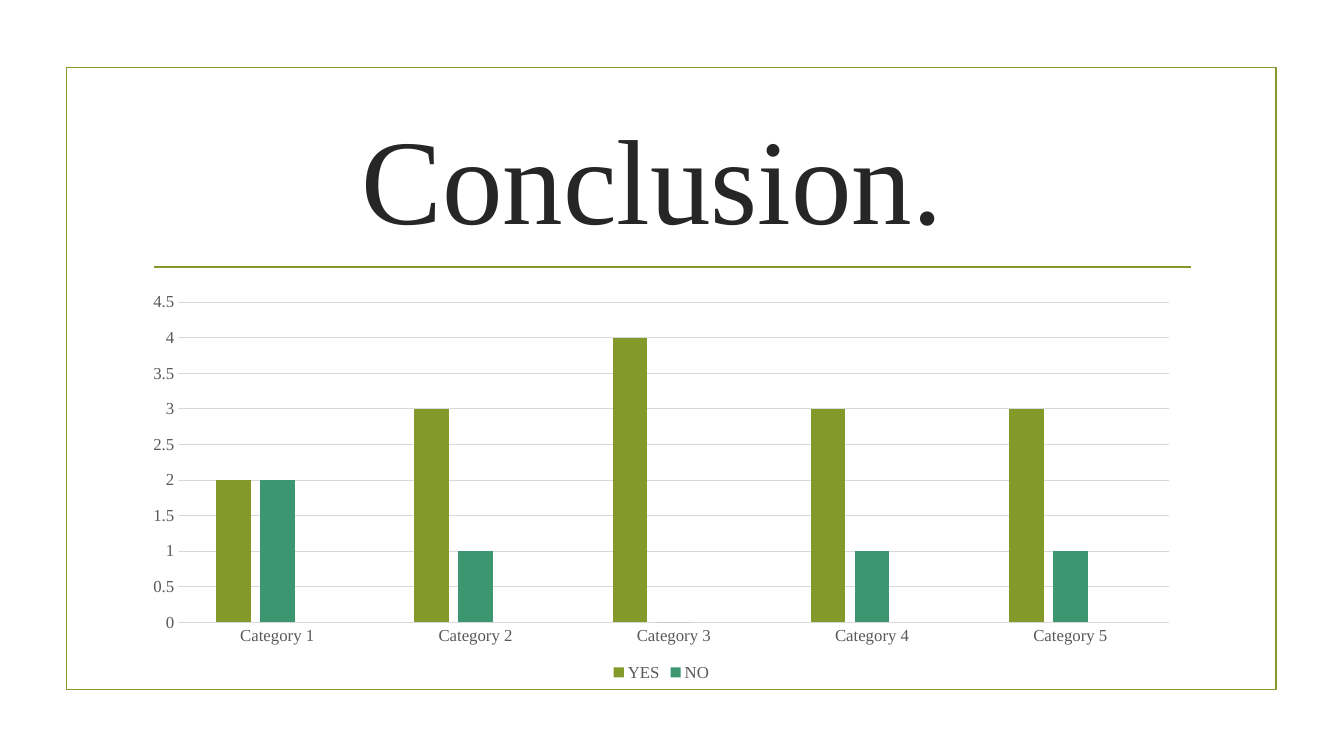
from lxml.etree import SubElement
from pptx import Presentation
from pptx.chart.data import CategoryChartData
from pptx.dml.color import RGBColor
from pptx.enum.chart import XL_CHART_TYPE, XL_LEGEND_POSITION, XL_TICK_MARK
from pptx.enum.shapes import MSO_CONNECTOR, MSO_SHAPE
from pptx.enum.text import MSO_ANCHOR, MSO_AUTO_SIZE, PP_ALIGN
from pptx.oxml.ns import qn
from pptx.util import Inches, Pt

FONT = "Times New Roman"
GREEN, TEAL, BLUE = "83992A", "3C9770", "44709D"
INK, GRAY, GRID = "262626", "595959", "D9D9D9"


def color(value):
    return RGBColor.from_string(value)


def style_font(font, size, shade):
    font.name = FONT
    font.size = Pt(size)
    font.color.rgb = color(shade)


def style_line(line, shade, width):
    line.color.rgb = color(shade)
    line.width = Pt(width)


def write(frame, text, size, shade, align):
    para = frame.paragraphs[0]
    para.alignment = align
    span = para.add_run()
    span.text = text
    style_font(span.font, size, shade)


class Slide:
    def __init__(self, deck):
        self.page = deck.slides.add_slide(deck.slide_layouts[5])
        self.shapes = self.page.shapes

    def frame(self, left, top, width, height):
        box = self.shapes.add_shape(MSO_SHAPE.RECTANGLE, Inches(left), Inches(top),
                                    Inches(width), Inches(height))
        box.shadow.inherit = False
        box.fill.background()
        style_line(box.line, GREEN, 1.25)

    def rule(self, left, right, y):
        rule = self.shapes.add_connector(MSO_CONNECTOR.STRAIGHT, Inches(left), Inches(y),
                                         Inches(right), Inches(y))
        style_line(rule.line, GREEN, 1.25)
        SubElement(rule.element.spPr, qn("a:effectLst"))

    def title(self, text, left, top, width, height):
        box = self.shapes.title
        box.left, box.top = Inches(left), Inches(top)
        box.width, box.height = Inches(width), Inches(height)
        frame = box.text_frame
        frame.auto_size = MSO_AUTO_SIZE.NONE
        frame.word_wrap = True
        frame.vertical_anchor = MSO_ANCHOR.MIDDLE
        frame.margin_top = frame.margin_bottom = 0
        write(frame, text, 86.4, INK, PP_ALIGN.CENTER)

    def column_chart(self, categories, series, hidden_entry, left, top, width, height):
        data = CategoryChartData()
        data.categories = categories
        for name, values, _ in series:
            data.add_series(name, values)
        chart = self.shapes.add_chart(XL_CHART_TYPE.COLUMN_CLUSTERED, Inches(left), Inches(top),
                                      Inches(width), Inches(height), data).chart
        chart.has_title = False
        style_font(chart.font, 12, GRAY)

        plot = chart.plots[0]
        plot.vary_by_categories = False
        plot.gap_width, plot.overlap = 219, -27
        for bars, (_, _, shade) in zip(plot.series, series):
            bars.format.fill.solid()
            bars.format.fill.fore_color.rgb = color(shade)

        for axis in (chart.category_axis, chart.value_axis):
            axis.major_tick_mark = axis.minor_tick_mark = XL_TICK_MARK.NONE
            style_font(axis.tick_labels.font, 12, GRAY)
        style_line(chart.category_axis.format.line, GRID, 0.75)
        values_axis = chart.value_axis
        values_axis.format.line.fill.background()
        values_axis.minimum_scale, values_axis.maximum_scale = 0, 4.5
        values_axis.major_unit = 0.5
        style_line(values_axis.major_gridlines.format.line, GRID, 0.75)

        chart.has_legend = True
        legend = chart.legend
        legend.position = XL_LEGEND_POSITION.BOTTOM
        legend.include_in_layout = False
        style_font(legend.font, 12, GRAY)
        entry = SubElement(legend._element, qn("c:legendEntry"))
        SubElement(entry, qn("c:idx")).set("val", str(hidden_entry))
        SubElement(entry, qn("c:delete")).set("val", "1")
        legend._element.find(qn("c:legendPos")).addnext(entry)


def main():
    deck = Presentation()
    deck.slide_width, deck.slide_height = Inches(13.33), Inches(7.5)
    slide = Slide(deck)
    slide.frame(0.66, 0.67, 12, 6.17)
    slide.rule(1.53, 11.81, 2.65)
    slide.title("Conclusion.", 1.22, 1.06, 10.5, 1.38)
    slide.column_chart(
        [f"Category {number}" for number in range(1, 6)],
        [("YES", (2, 3, 4, 3, 3), GREEN),
         ("NO", (2, 1, 0, 1, 1), TEAL),
         ("Series 3", (None,) * 5, BLUE)],
        2, 1.31, 2.83, 10.5, 3.97)
    deck.save("out.pptx")


if __name__ == "__main__":
    main()
